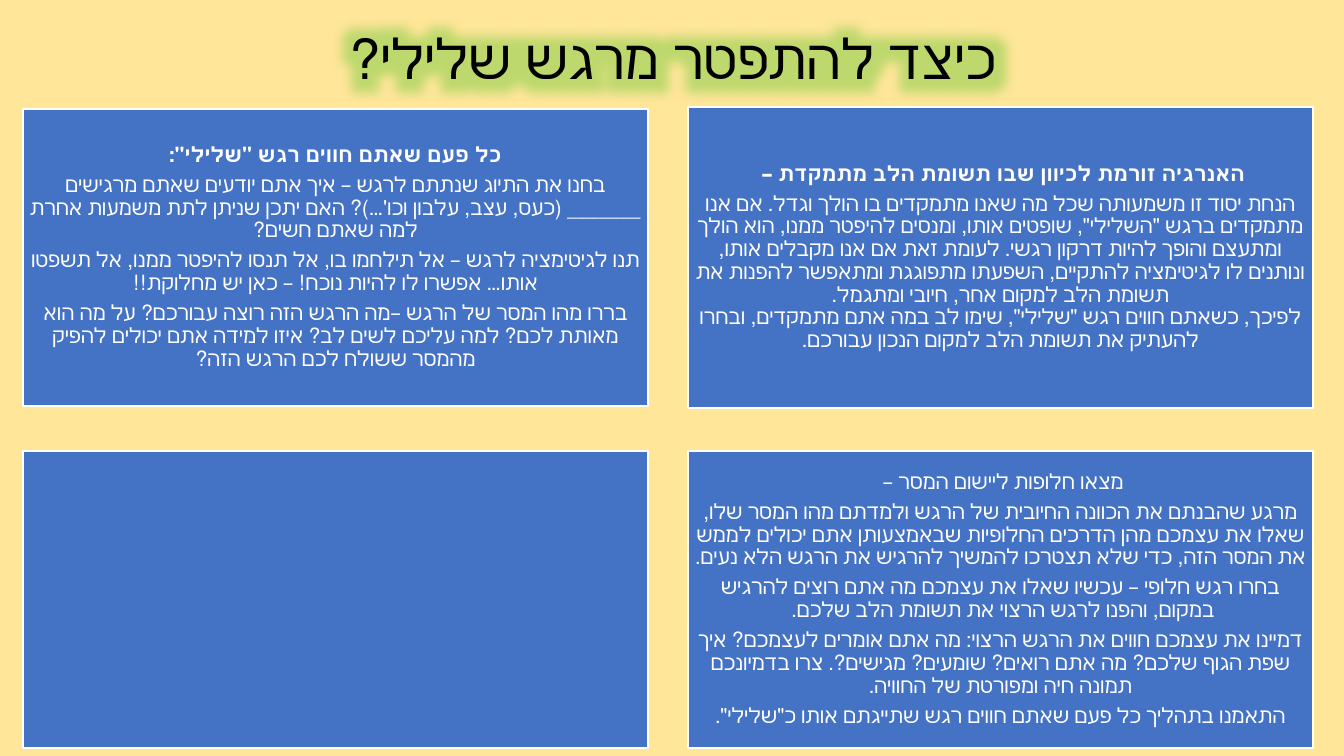
"""Build a slide of four cards on letting go of a negative feeling."""
from dataclasses import dataclass

from lxml.etree import SubElement
from pptx import Presentation
from pptx.dml.color import RGBColor
from pptx.enum.shapes import MSO_SHAPE
from pptx.enum.text import MSO_ANCHOR, MSO_AUTO_SIZE, PP_ALIGN
from pptx.oxml.ns import qn
from pptx.slide import Slide
from pptx.text.text import TextFrame
from pptx.util import Emu, Pt


@dataclass(frozen=True)
class Theme:
    font: str = "Calibri"
    back: str = "FFE699"
    card: str = "4472C4"
    light: str = "FFFFFF"
    dark: str = "000000"
    glow: str = "92D050"
    head: float = 39.6
    body: float = 15
    gap: float = 5.25


@dataclass(frozen=True)
class Card:
    left: int
    top: int
    high: int
    lines: tuple[str, ...] = ()
    bold: bool = False


THEME = Theme()
SCALE = 914400 / 100.8
WIDE = 625
PAD = 6
WEST, EAST = 23, 688

CARDS = (
    Card(WEST, 109, 297, (
        'כל פעם שאתם חווים רגש "שלילי":',
        "בחנו את התיוג שנתתם לרגש – איך אתם יודעים שאתם מרגישים _______ "
        "(כעס, עצב, עלבון וכו'…)? האם יתכן שניתן לתת משמעות אחרת למה שאתם חשים?",
        "תנו לגיטימציה לרגש – אל תילחמו בו, אל תנסו להיפטר ממנו, אל תשפטו אותו… "
        "אפשרו לו להיות נוכח! – כאן יש מחלוקת!!",
        "בררו מהו המסר של הרגש –מה הרגש הזה רוצה עבורכם? על מה הוא מאותת לכם? "
        "למה עליכם לשים לב? איזו למידה אתם יכולים להפיק מהמסר ששולח לכם הרגש הזה?",
    ), True),
    Card(EAST, 107, 301, (
        "האנרגיה זורמת לכיוון שבו תשומת הלב מתמקדת – ",
        "הנחת יסוד זו משמעותה שכל מה שאנו מתמקדים בו הולך וגדל. אם אנו מתמקדים "
        'ברגש "השלילי", שופטים אותו, ומנסים להיפטר ממנו, הוא הולך ומתעצם והופך '
        "להיות דרקון רגשי. לעומת זאת אם אנו מקבלים אותו, ונותנים לו לגיטימציה "
        "להתקיים, השפעתו מתפוגגת ומתאפשר להפנות את תשומת הלב למקום אחר, חיובי "
        'ומתגמל.\vלפיכך, כשאתם חווים רגש "שלילי", שימו לב במה אתם מתמקדים, ובחרו '
        "להעתיק את תשומת הלב למקום הנכון עבורכם.",
    ), True),
    Card(WEST, 451, 297),
    Card(EAST, 451, 297, (
        "מצאו חלופות ליישום המסר – ",
        "מרגע שהבנתם את הכוונה החיובית של הרגש ולמדתם מהו המסר שלו, שאלו את עצמכם "
        "מהן הדרכים החלופיות שבאמצעותן אתם יכולים לממש את המסר הזה, כדי שלא "
        "תצטרכו להמשיך להרגיש את הרגש הלא נעים.",
        "בחרו רגש חלופי – עכשיו שאלו את עצמכם מה אתם רוצים להרגיש במקום, והפנו "
        "לרגש הרצוי את תשומת הלב שלכם. ",
        "דמיינו את עצמכם חווים את הרגש הרצוי: מה אתם אומרים לעצמכם? איך שפת הגוף "
        "שלכם? מה אתם רואים? שומעים? מגישים?. צרו בדמיונכם תמונה חיה ומפורטת של "
        "החוויה.",
        'התאמנו בתהליך כל פעם שאתם חווים רגש שתייגתם אותו כ"שלילי".',
    )),
)


def px(count: int) -> Emu:
    """Turn pixels into EMU."""
    return Emu(round(count * SCALE))


def rgb(code: str) -> RGBColor:
    """Turn a hex code into a colour."""
    return RGBColor.from_string(code)


def write(frame: TextFrame, lines: tuple[str, ...], size: float, tint: str,
          gap: float = 0, bold: bool = False) -> None:
    """Fill a frame with centred right-to-left paragraphs."""
    frame.word_wrap = True
    frame.auto_size = MSO_AUTO_SIZE.NONE
    frame.vertical_anchor = MSO_ANCHOR.MIDDLE
    for rank, line in enumerate(lines):
        para = frame.paragraphs[0] if rank == 0 else frame.add_paragraph()
        para.text = line
        para.alignment = PP_ALIGN.CENTER
        para.line_spacing = 0.9
        para.space_before = Pt(0)
        para.space_after = Pt(gap)
        para._p.get_or_add_pPr().set("rtl", "1")
        font = para.font
        font.size = Pt(size)
        font.bold = bold and rank == 0
        font.color.rgb = rgb(tint)
        font.name = THEME.font


def add_title(slide: Slide) -> None:
    """Place the glowing title."""
    title = slide.shapes.title
    title.left, title.top, title.width, title.height = map(px, (93, 40, 1159, 44))
    frame = title.text_frame
    write(frame, ("כיצד להתפטר מרגש שלילי?",), THEME.head, THEME.dark)
    props = frame.paragraphs[0].runs[0]._r.get_or_add_rPr()
    fx = SubElement(props, qn("a:effectLst"))
    glow = SubElement(fx, qn("a:glow"), rad=str(px(50)))
    tint = SubElement(glow, qn("a:srgbClr"), val=THEME.glow)
    SubElement(tint, qn("a:alpha"), val="60000")


def add_card(slide: Slide, card: Card) -> None:
    """Draw one card with its text."""
    box = slide.shapes.add_shape(MSO_SHAPE.RECTANGLE, px(card.left), px(card.top),
                                 px(WIDE), px(card.high))
    box.shadow.inherit = False
    box.fill.solid()
    box.fill.fore_color.rgb = rgb(THEME.card)
    box.line.color.rgb = rgb(THEME.light)
    box.line.width = Pt(1)
    frame = box.text_frame
    frame.margin_left = frame.margin_right = px(PAD)
    frame.margin_top = frame.margin_bottom = px(PAD)
    write(frame, card.lines, THEME.body, THEME.light, THEME.gap, card.bold)


def main() -> None:
    """Build and save the deck."""
    deck = Presentation()
    deck.slide_width, deck.slide_height = px(1344), px(756)
    slide = deck.slides.add_slide(deck.slide_layouts.get_by_name("Title Only"))
    slide.background.fill.solid()
    slide.background.fill.fore_color.rgb = rgb(THEME.back)
    add_title(slide)
    for card in CARDS:
        add_card(slide, card)
    deck.save("out.pptx")


if __name__ == "__main__":
    main()
